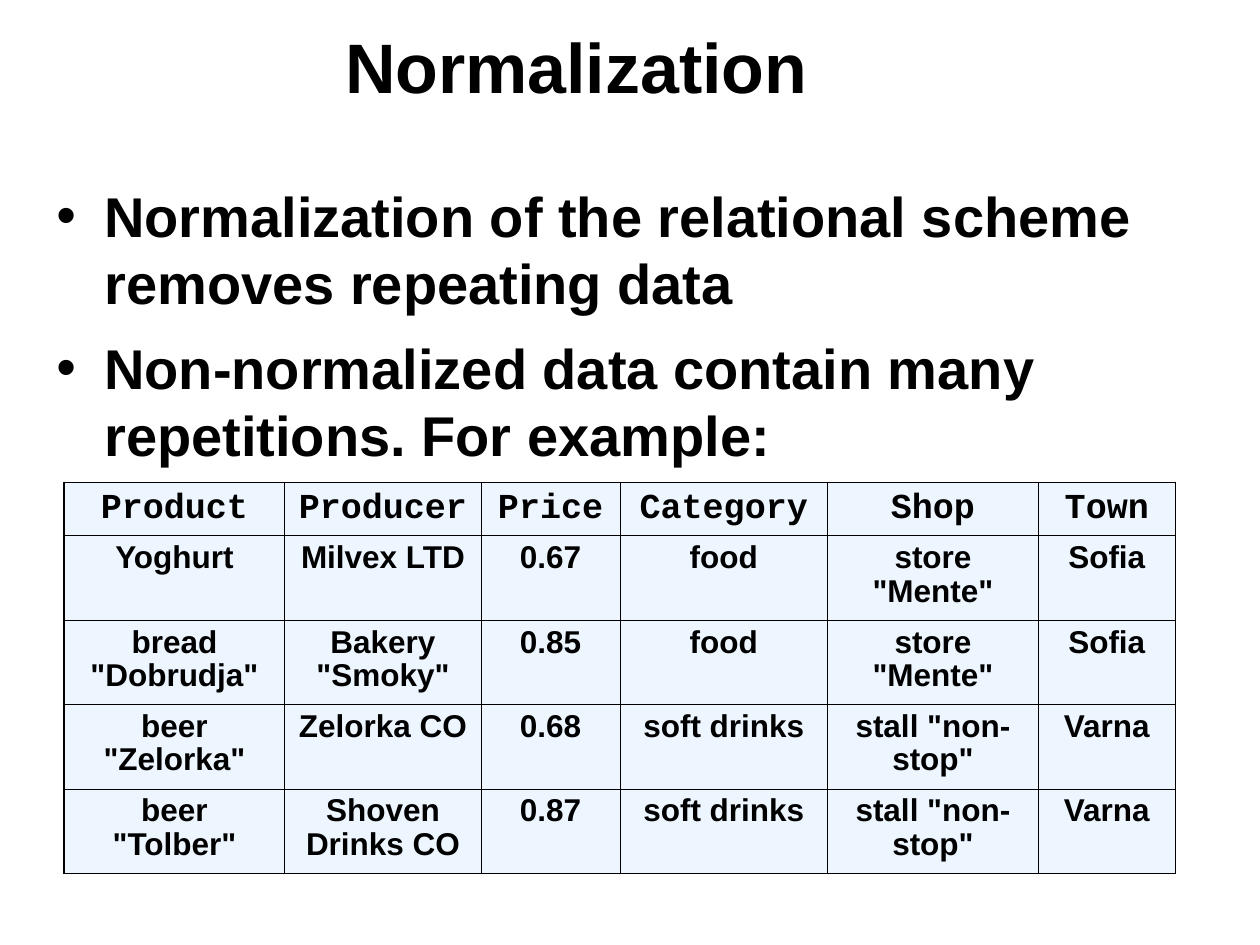
import pptx
import pptx.util
import pptx.dml.color
import pptx.enum.text
import pptx.oxml.ns
from lxml import etree

Inches, Pt = pptx.util.Inches, pptx.util.Pt
ALIGN = pptx.enum.text.PP_ALIGN
ANCHOR = pptx.enum.text.MSO_ANCHOR
qn = pptx.oxml.ns.qn

BLACK = pptx.dml.color.RGBColor(0x00, 0x00, 0x00)
PALE_BLUE = pptx.dml.color.RGBColor(0xDD, 0xEC, 0xFF)
FILL_OPACITY = 50
THIN, THICK = 0.45, 1.08

TITLE = "Normalization"
BULLETS = [
    "Normalization of the relational scheme removes repeating data",
    "Non-normalized data contain many repetitions. For example:",
]
ROWS = [
    ("Product", "Producer", "Price", "Category", "Shop", "Town"),
    ("Yoghurt", "Milvex LTD", "0.67", "food", 'store "Mente"', "Sofia"),
    ('bread "Dobrudja"', 'Bakery "Smoky"', "0.85", "food", 'store "Mente"', "Sofia"),
    ('beer "Zelorka"', "Zelorka CO", "0.68", "soft drinks", 'stall "non-stop"', "Varna"),
    ('beer "Tolber"', "Shoven Drinks CO", "0.87", "soft drinks", 'stall "non-stop"', "Varna"),
]
COL_WIDTHS = [1.75, 1.56, 1.1, 1.65, 1.67, 1.09]
HEADER_HEIGHT, ROW_HEIGHT = 0.42, 0.67


def add_run(p, text, size, font="Arial"):
    r = p.add_run()
    r.text = text
    r.font.size = Pt(size)
    r.font.name = font
    r.font.bold = True
    r.font.color.rgb = BLACK


def add_text_frame(slide, left, top, width, height, anchor):
    box = slide.shapes.add_textbox(Inches(left), Inches(top), Inches(width), Inches(height))
    tf = box.text_frame
    tf.word_wrap = True
    tf.vertical_anchor = anchor
    return tf


def add_bullet(p, indent):
    pPr = p._p.get_or_add_pPr()
    pPr.set("marL", str(Inches(indent)))
    pPr.set("indent", str(-Inches(indent)))
    etree.SubElement(pPr, qn("a:buFont"), typeface="Arial")
    etree.SubElement(pPr, qn("a:buChar"), char="•")


def set_borders(cell, widths):
    """Draw black cell borders; widths are in points: left, right, top, bottom."""
    tcPr = cell._tc.get_or_add_tcPr()
    for i, (side, width) in enumerate(zip("LRTB", widths)):
        ln = etree.Element(qn(f"a:ln{side}"), w=str(Pt(width)))
        fill = etree.SubElement(ln, qn("a:solidFill"))
        etree.SubElement(fill, qn("a:srgbClr"), val=str(BLACK))
        tcPr.insert(i, ln)


def fill_cell(cell):
    cell.fill.solid()
    cell.fill.fore_color.rgb = PALE_BLUE
    color = cell._tc.tcPr.find(".//" + qn("a:srgbClr"))
    etree.SubElement(color, qn("a:alpha"), val=str(FILL_OPACITY * 1000))


def add_product_table(slide):
    heights = [HEADER_HEIGHT] + [ROW_HEIGHT] * (len(ROWS) - 1)
    last_row, last_col = len(ROWS) - 1, len(COL_WIDTHS) - 1
    table = slide.shapes.add_table(
        len(ROWS), len(COL_WIDTHS), Inches(0.51), Inches(3.83),
        Inches(sum(COL_WIDTHS)), Inches(sum(heights))).table
    table.first_row = table.horz_banding = False
    for col, width in zip(table.columns, COL_WIDTHS):
        col.width = Inches(width)
    for row, height in zip(table.rows, heights):
        row.height = Inches(height)

    for i, values in enumerate(ROWS):
        size, font = (20, "Courier New") if i == 0 else (18, "Arial")
        for j, value in enumerate(values):
            cell = table.cell(i, j)
            fill_cell(cell)
            on_edge = (j == 0, j == last_col, i == 0, i == last_row)
            set_borders(cell, [THICK if edge else THIN for edge in on_edge])
            p = cell.text_frame.paragraphs[0]
            p.alignment = ALIGN.CENTER
            p.line_spacing = 0.95
            add_run(p, value, size, font)


def main():
    prs = pptx.Presentation()
    prs.slide_width, prs.slide_height = Inches(10), Inches(7.5)
    slide = prs.slides.add_slide(prs.slide_layouts[6])

    title = add_text_frame(slide, 2.64, 0.08, 7.17, 0.99, ANCHOR.MIDDLE).paragraphs[0]
    title.line_spacing = 0.85
    add_run(title, TITLE, 40)

    body = add_text_frame(slide, 0.35, 1.39, 9.13, 5.83, ANCHOR.TOP)
    for i, text in enumerate(BULLETS):
        p = body.add_paragraph() if i else body.paragraphs[0]
        add_bullet(p, 0.38)
        if i:
            p.space_before = Pt(10)
        add_run(p, text, 32)

    add_product_table(slide)
    prs.save("out.pptx")


if __name__ == "__main__":
    main()
